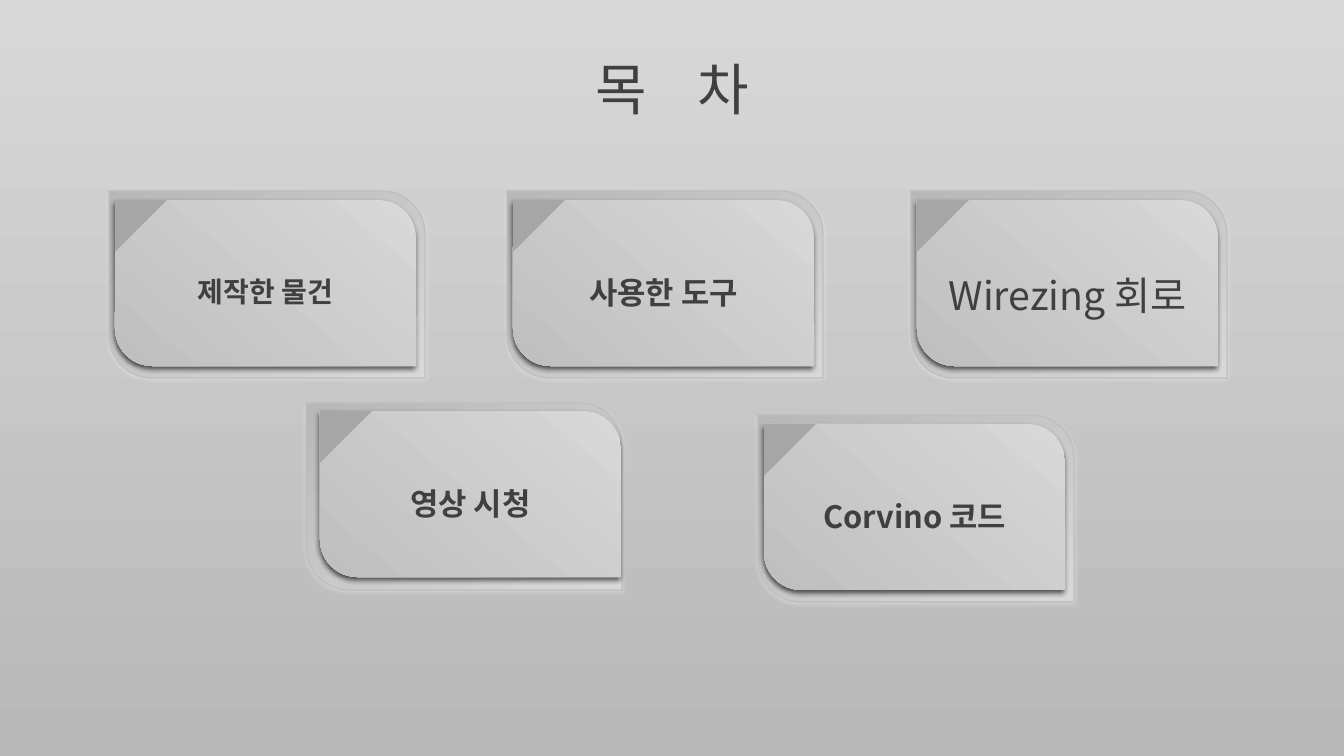
from lxml import etree
from pptx import Presentation
from pptx import util as u
from pptx.dml.color import RGBColor
from pptx.enum import shapes, text
from pptx.oxml.ns import qn

# Content: label, size, bold, face position, inset of the face in its tray
TITLE = ("목", " ", "차")
TILES = [
    ("제작한 물건", 20, True, (115, 200), (6, 9)),
    ("사용한 도구", 22, True, (513, 200), (6, 9)),
    ("Wirezing 회로", 28, False, (917, 200), (6, 9)),
    ("영상 시청", 22, True, (320, 411), (14, 8)),
    ("Corvino 코드", 22, True, (764, 424), (6, 9)),
]

# Format
FONT = "Noto Sans CJK KR"
COLORS = {"light": "D8D8D8", "dark": "B8B8B8", "edge": "BFBFBF", "fold": "A6A6A6",
          "text": "404040", "glow": "F2F2F2", "shade": "000000"}
SLIDE_W, SLIDE_H = 1344, 756
TITLE_BOX = (431, 16, 482, 111)
TITLE_GAP = 27  # points added to the space between the two syllables
TRAY = (316, 187)
FACE = (301, 166)
FOLD = 52
SCALE = u.Inches(1) / 100.8


def px(*lengths):
    return [round(n * SCALE) for n in lengths]


def rgb(name):
    return RGBColor.from_string(COLORS[name])


def gradient(fill, start, end, clockwise):
    fill.gradient()
    fill.gradient_angle = 360 - clockwise
    for stop, name, position in zip(fill.gradient_stops, (start, end), (0, 1)):
        stop.color.rgb = rgb(name)
        stop.position = position


def shadow(sp, name, opacity, blur, distance, angle):
    sp.shadow.inherit = False
    effects = sp._element.spPr.find(qn("a:effectLst"))
    outer = etree.SubElement(effects, qn("a:outerShdw"), blurRad=str(u.Pt(blur)),
                             dist=str(u.Pt(distance)), dir=str(angle * 60000),
                             algn="ctr", rotWithShape="0")
    color = etree.SubElement(outer, qn("a:srgbClr"), val=COLORS[name])
    etree.SubElement(color, qn("a:alpha"), val=str(opacity * 1000))


def write(tf, runs, size, bold, anchor):
    for key, value in {"word_wrap": True, "vertical_anchor": anchor,
                       "auto_size": text.MSO_AUTO_SIZE.NONE}.items():
        setattr(tf, key, value)
    p = tf.paragraphs[0]
    p.alignment, p.line_spacing = text.PP_ALIGN.CENTER, 1.5
    for words in runs:
        r = p.add_run()
        r.text = words
        for key, value in {"size": u.Pt(size), "bold": bold, "name": FONT}.items():
            setattr(r.font, key, value)
        r.font.color.rgb = rgb("text")
        etree.SubElement(r._r.rPr, qn("a:ea"), typeface=FONT)
    return p


def card(group, left, top, size, rounding):
    sp = group.shapes.add_shape(shapes.MSO_SHAPE.ROUND_2_DIAG_RECTANGLE,
                                *px(left, top, *size))
    sp.adjustments[0], sp.adjustments[1] = 0, rounding
    return sp


def add_tile(slide, label, size, bold, face_at, inset):
    group = slide.shapes.add_group_shape()
    x, y = face_at
    # Recessed tray
    tray = card(group, x - inset[0], y - inset[1], TRAY, 0.228)
    gradient(tray.fill, "light", "dark", 240)
    tray.line.color.rgb = rgb("edge")
    tray.line.width = u.Pt(1)
    shadow(tray, "glow", 40, 4, 1, 90)
    # Raised face with its label
    face = card(group, x, y, FACE, 0.225)
    gradient(face.fill, "light", "edge", 130)
    face.line.fill.background()
    shadow(face, "shade", 64, 4, 2, 104)
    write(face.text_frame, [label], size, bold, text.MSO_ANCHOR.MIDDLE)
    # Corner fold
    fold = group.shapes.add_shape(shapes.MSO_SHAPE.RIGHT_TRIANGLE, *px(x, y, FOLD, FOLD))
    fold.rotation = 90
    fold.fill.solid()
    fold.fill.fore_color.rgb = rgb("fold")
    fold.line.fill.background()
    fold.shadow.inherit = False


def main():
    prs = Presentation()
    prs.slide_width, prs.slide_height = px(SLIDE_W, SLIDE_H)
    slide = prs.slides.add_slide(prs.slide_layouts[5])
    gradient(slide.background.fill, "light", "dark", 90)

    # Title
    title = slide.shapes.title
    for key, value in zip(("left", "top", "width", "height"), px(*TITLE_BOX)):
        setattr(title, key, value)
    p = write(title.text_frame, TITLE, 40, False, text.MSO_ANCHOR.TOP)
    p.runs[1].font._element.set("spc", str(TITLE_GAP * 100))

    # Tiles
    for tile in TILES:
        add_tile(slide, *tile)
    prs.save("out.pptx")


if __name__ == "__main__":
    main()
